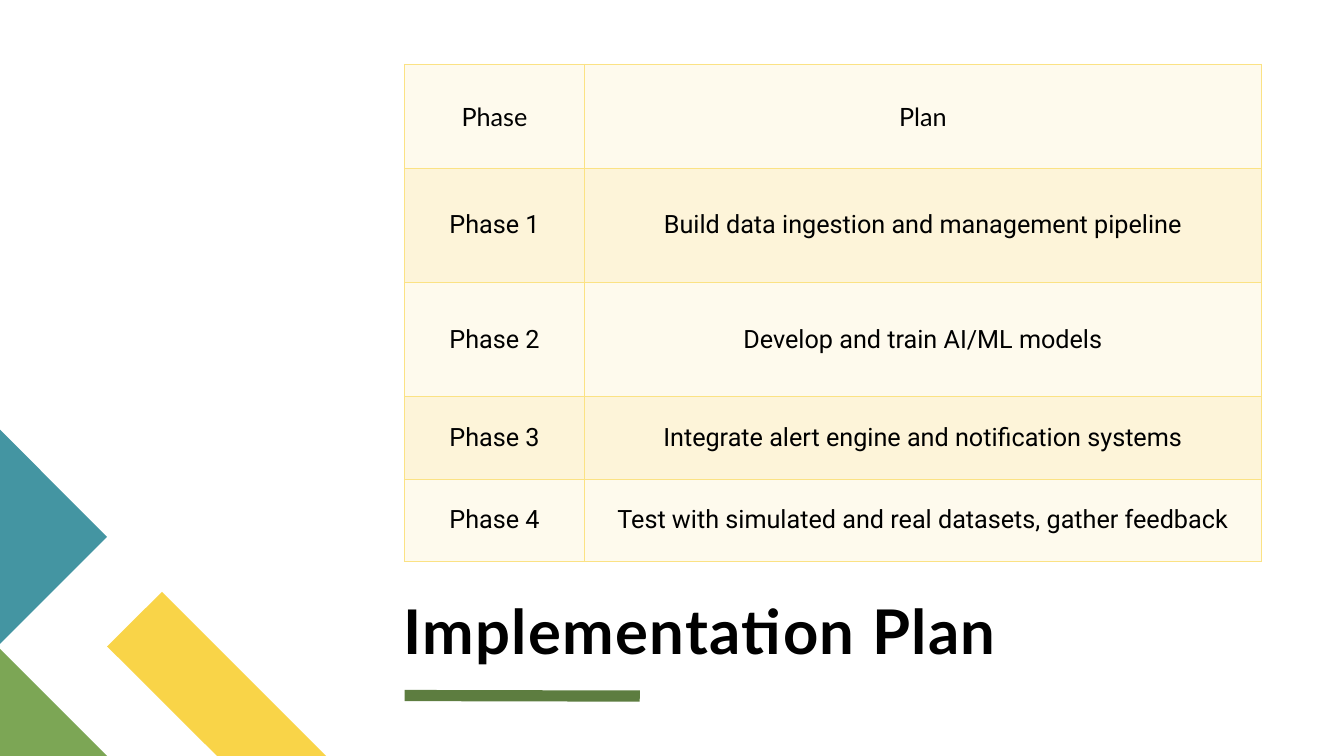
from dataclasses import dataclass

from lxml.etree import SubElement
from pptx import Presentation
from pptx.dml.color import RGBColor as RGB
from pptx.enum.shapes import MSO_CONNECTOR as CONN
from pptx.enum.text import MSO_ANCHOR as ANCHOR, PP_ALIGN as ALIGN
from pptx.oxml.ns import qn
from pptx.util import Pt


@dataclass(frozen=True)
class Theme:
    teal: str = "4495A2"
    green: str = "7CA655"
    yellow: str = "F9D448"
    rule: str = "5D7D40"
    text: str = "000000"
    border: str = "FBE284"
    bands: tuple = ("FEFAED", "FDF4D9")
    head_font: str = "Lato"
    body_font: str = "Roboto"
    title_size: int = 44
    body_size: int = 18


class Deck:
    """Draws styled elements on the current slide."""

    def __init__(self, theme, width, height):
        self.theme = theme
        self.prs = Presentation()
        self.prs.slide_width, self.prs.slide_height = Pt(width), Pt(height)
        self.s = self.prs.slides.add_slide(self.prs.slide_layouts[6])

    def style(self, r, font, size, bold=False):
        r.font.name, r.font.size, r.font.bold = font, Pt(size), bold
        r.font.color.rgb = RGB.from_string(self.theme.text)

    def polygon(self, points, color):
        start, *rest = [(Pt(x), Pt(y)) for x, y in points]
        builder = self.s.shapes.build_freeform(*start)
        builder.add_line_segments(rest, close=True)
        sp = builder.convert_to_shape()
        sp.shadow.inherit = False
        sp.fill.solid()
        sp.fill.fore_color.rgb = RGB.from_string(color)
        sp.line.fill.background()

    def line(self, x1, y1, x2, y2, color, weight):
        sp = self.s.shapes.add_connector(CONN.STRAIGHT, Pt(x1), Pt(y1), Pt(x2), Pt(y2))
        sp.line.color.rgb = RGB.from_string(color)
        sp.line.width = Pt(weight)
        SubElement(sp._element.spPr, qn("a:effectLst"))

    def title(self, text, x, y, w, h):
        tf = self.s.shapes.add_textbox(Pt(x), Pt(y), Pt(w), Pt(h)).text_frame
        tf.word_wrap = True
        tf.vertical_anchor = ANCHOR.BOTTOM
        tf.margin_left = tf.margin_top = tf.margin_right = tf.margin_bottom = 0
        tf.text = text
        p = tf.paragraphs[0]
        p.line_spacing = 0.8
        r = p.runs[0]
        self.style(r, self.theme.head_font, self.theme.title_size, bold=True)
        r.font._element.set("spc", "100")

    def cell(self, cell, text, font, fill):
        cell.text = text
        cell.vertical_anchor = ANCHOR.MIDDLE
        p = cell.text_frame.paragraphs[0]
        p.alignment = ALIGN.CENTER
        self.style(p.runs[0], font, self.theme.body_size)
        tc_pr = cell._tc.get_or_add_tcPr()
        for side in ("lnL", "lnR", "lnT", "lnB"):
            ln = SubElement(tc_pr, qn(f"a:{side}"), w=str(Pt(1)))
            paint = SubElement(ln, qn("a:solidFill"))
            SubElement(paint, qn("a:srgbClr"), val=self.theme.border)
        cell.fill.solid()
        cell.fill.fore_color.rgb = RGB.from_string(fill)

    def table(self, rows, x, y, widths, heights):
        t = self.theme
        table = self.s.shapes.add_table(
            len(rows), len(widths), Pt(x), Pt(y), Pt(sum(widths)), Pt(sum(heights))
        ).table
        for col, width in zip(table.columns, widths):
            col.width = Pt(width)
        for i, (row, height) in enumerate(zip(rows, heights)):
            table.rows[i].height = Pt(height)
            font = t.body_font if i else t.head_font
            for j, text in enumerate(row):
                self.cell(table.cell(i, j), text, font, t.bands[i % 2])


def main():
    theme = Theme()
    deck = Deck(theme, 960, 540)
    deck.polygon([(233, 540), (155, 540), (76.5, 461.75), (115.75, 422.75)], theme.yellow)
    deck.polygon([(76.5, 540), (0, 540), (0, 463.5)], theme.green)
    deck.polygon([(0, 307), (76.5, 383.5), (0, 460)], theme.teal)
    deck.line(289, 496.8, 457, 497.2, theme.rule, 8)
    deck.title("Implementation Plan", 288, 367, 625, 109)
    plans = [
        "Build data ingestion and management pipeline",
        "Develop and train AI/ML models",
        "Integrate alert engine and notification systems",
        "Test with simulated and real datasets, gather feedback",
    ]
    rows = [("Phase", "Plan")]
    rows += [(f"Phase {n}", plan) for n, plan in enumerate(plans, 1)]
    deck.table(rows, 289, 46, (128.5, 483.5), (74.25, 81.5, 81.5, 59, 59))
    deck.prs.save("out.pptx")


if __name__ == "__main__":
    main()
